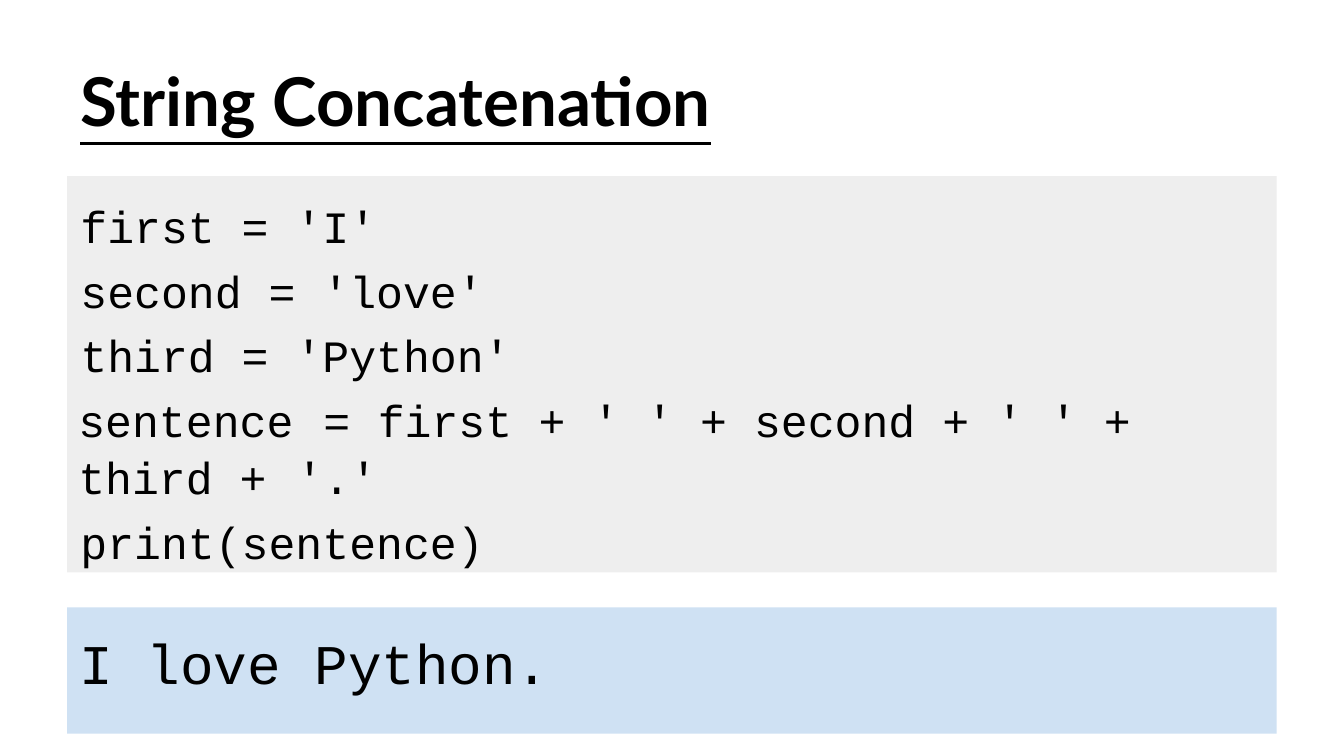
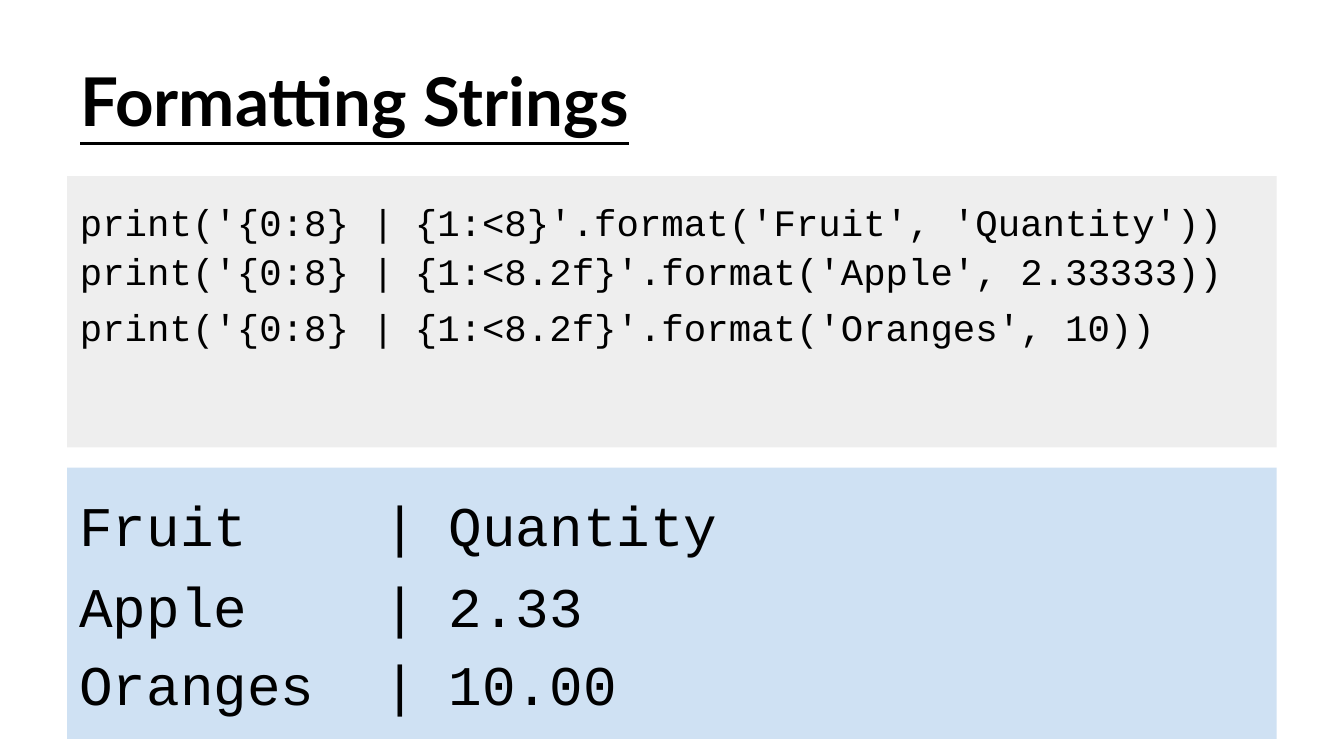
from pptx import Presentation
from pptx.dml.color import RGBColor
from pptx.enum.shapes import MSO_SHAPE as Shape
from pptx.enum.text import MSO_ANCHOR as Anchor, PP_ALIGN as Align
from pptx.oxml.ns import qn
from pptx.util import Cm, Pt

INK, CODE, OUTPUT = "000000", "EEEEEE", "CFE1F3"
MONO, HEADING = "Courier New", "Lato"
PANEL_LEFT, PANEL_WIDTH, TEXT_LEFT, TABLE_LEFT = 1.27, 22.86, 1.52, 1.42
CODE_TOP = 3.33
PLAIN_TABLE = "{2D5ABB26-0587-4C30-8999-92F81FD0307C}"


def color(value):
    return RGBColor.from_string(value)


class Deck:
    """Builds code-and-output slides in one shared style."""

    def __init__(self):
        self.presentation = Presentation()
        self.presentation.slide_width = Cm(25.4)
        self.presentation.slide_height = Cm(14.29)
        self.slide = None

    def add_slide(self, title):
        self.slide = self.presentation.slides.add_slide(self.presentation.slide_layouts[6])
        paragraph = self.text([title], 1.09, 22.7, 1.6, 36, HEADING)[0]
        paragraph.font.bold = True
        paragraph.font.underline = True

    def style(self, paragraph, size, font=MONO, spacing=1.0, align=Align.LEFT):
        paragraph.font.size = Pt(size)
        paragraph.font.name = font
        paragraph.font.color.rgb = color(INK)
        paragraph.line_spacing = spacing
        paragraph.alignment = align

    def frame(self, holder, left=0, top=0, right=0):
        holder.margin_left, holder.margin_top = Cm(left), Cm(top)
        holder.margin_right, holder.margin_bottom = Cm(right), 0
        holder.vertical_anchor = Anchor.TOP

    def text(self, lines, top, width, height, size, font=MONO, spacing=1.0):
        box = self.slide.shapes.add_textbox(Cm(TEXT_LEFT), Cm(top), Cm(width), Cm(height))
        text_frame = box.text_frame
        text_frame.word_wrap = True
        self.frame(text_frame, top=0.03)
        text_frame.text = "\n".join(lines)
        for paragraph in text_frame.paragraphs:
            self.style(paragraph, size, font, spacing)
        return text_frame.paragraphs

    def panel(self, top, height, fill, text=""):
        shape = self.slide.shapes.add_shape(
            Shape.RECTANGLE, Cm(PANEL_LEFT), Cm(top), Cm(PANEL_WIDTH), Cm(height))
        shape.shadow.inherit = False
        shape.fill.solid()
        shape.fill.fore_color.rgb = color(fill)
        shape.line.fill.background()
        if text:
            self.frame(shape.text_frame, left=0.23, top=0.41)
            shape.text_frame.text = text
            self.style(shape.text_frame.paragraphs[0], 30)

    def table(self, top, columns, rows, size, fill):
        """Columns are (width, align, left, right); rows are (height, spacing, texts)."""
        width = sum(column[0] for column in columns)
        height = sum(row[0] for row in rows)
        graphic = self.slide.shapes.add_table(
            len(rows), len(columns), Cm(TABLE_LEFT), Cm(top), Cm(width), Cm(height))
        next(graphic._element.iter(qn("a:tableStyleId"))).text = PLAIN_TABLE
        table = graphic.table
        table.first_row = table.horz_banding = False
        for index, column in enumerate(columns):
            table.columns[index].width = Cm(column[0])
        for row_index, (row_height, spacing, texts) in enumerate(rows):
            table.rows[row_index].height = Cm(row_height)
            for index, (_, align, left, right) in enumerate(columns):
                cell = table.cell(row_index, index)
                self.frame(cell, left=left, right=right)
                cell.fill.solid()
                cell.fill.fore_color.rgb = color(fill)
                cell.text = texts[index] if index < len(texts) else ""
                self.style(cell.text_frame.paragraphs[0], size, spacing=spacing, align=align)


def add_concatenation(deck):
    deck.add_slide("String Concatenation")
    deck.panel(11.48, 2.39, OUTPUT, "I love Python.")
    deck.panel(CODE_TOP, 7.49, CODE)
    gap = 0.25
    columns = [(4.17, Align.LEFT, 0.06, 0), (1.55, Align.CENTER, 0, 0), (2.79, Align.LEFT, 0, 0)]
    columns += [(width, Align.LEFT, gap, 0) for width in (1.02, 3.05, 3.56, 1.02, 2.87)]
    deck.table(7.54, columns, [
        (0.99, 1.03, ["sentence", "=", "first", "+", "' ' +", "second", "+", "' ' +"]),
        (0.99, 1.06, ["third +", "'.'"]),
    ], 24, CODE)
    lines = ["first = 'I'", "second = 'love'", "third = 'Python'", "print(sentence)"]
    paragraphs = deck.text(lines, 3.53, 8.2, 7.1, 24, spacing=1.2)
    paragraphs[-1].space_before = Pt(65.5)


def add_formatting(deck):
    deck.add_slide("Formatting Strings")
    deck.panel(8.84, 5.13, OUTPUT)
    columns = [(5.16, Align.LEFT, 0.08, 0), (1.57, Align.RIGHT, 0, 0.27),
               (5.49, Align.LEFT, 0.33, 0)]
    deck.table(9.42, columns, [
        (1.35, 1.03, ["Fruit", "|", "Quantity"]),
        (1.47, 1.17, ["Apple", "|", "2.33"]),
        (1.35, 1.17, ["Oranges", "|", "10.00"]),
    ], 30, OUTPUT)
    deck.panel(CODE_TOP, 5.13, CODE)
    start = "print('{0:8}"
    columns = [(5.38, Align.CENTER, 0, 0.11), (0.84, Align.RIGHT, 0, 0.19),
               (15.54, Align.LEFT, 0.2, 0)]
    deck.table(3.86, columns, [
        (0.94, 1.03, [start, "|", "{1:<8}'.format('Fruit', 'Quantity'))"]),
        (1.07, 1.0, [start, "|", "{1:<8.2f}'.format('Apple', 2.33333))"]),
        (0.94, 1.0, [start, "|", "{1:<8.2f}'.format('Oranges', 10))"]),
    ], 20, CODE)


def main():
    deck = Deck()
    add_concatenation(deck)
    add_formatting(deck)
    deck.presentation.save("out.pptx")


if __name__ == "__main__":
    main()
